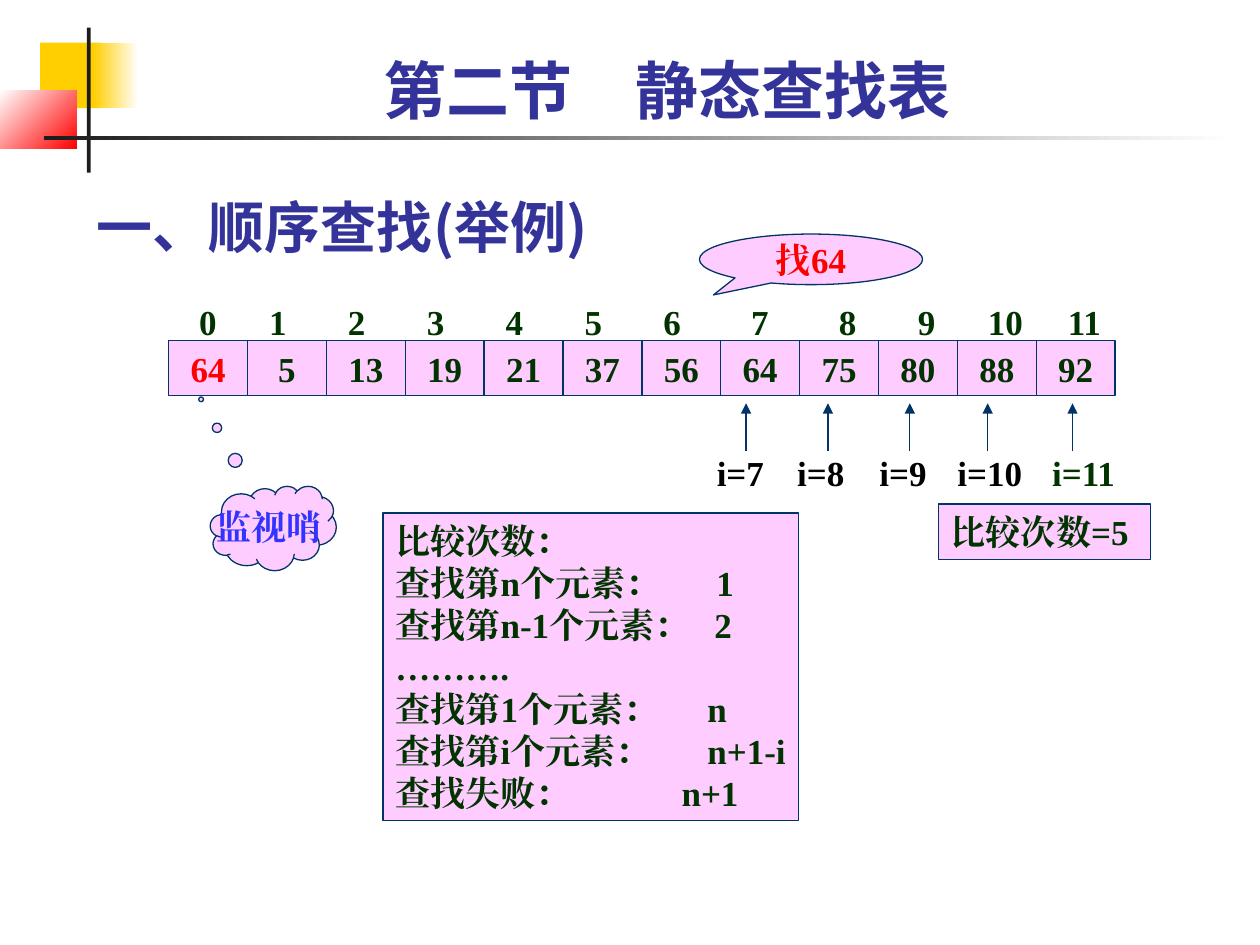
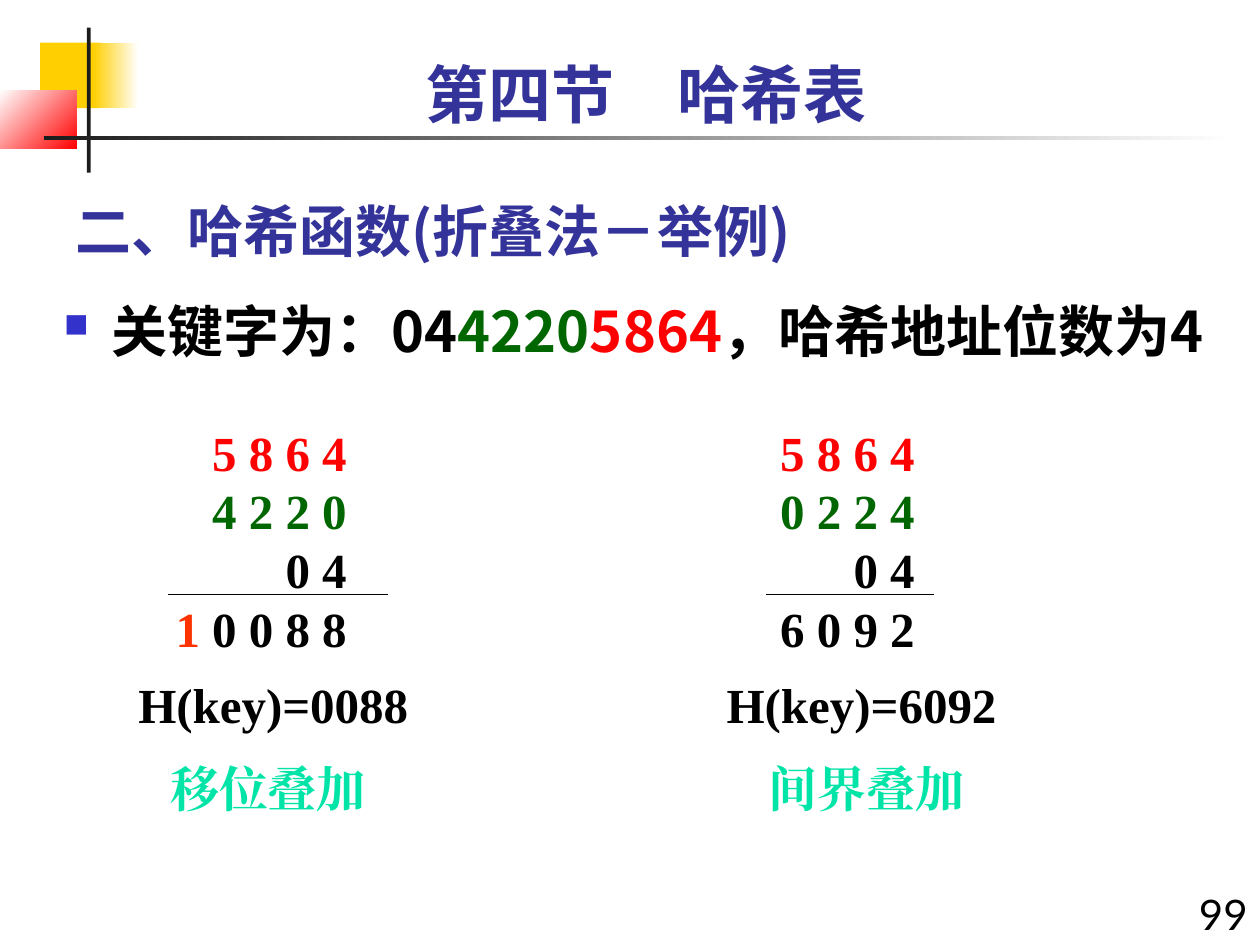
import dataclasses

import lxml.etree
import pptx
import pptx.dml.color
import pptx.enum.shapes
import pptx.enum.text
import pptx.oxml.ns
import pptx.util

Cm = pptx.util.Cm
Pt = pptx.util.Pt
Shape = pptx.enum.shapes.MSO_SHAPE
Anchor = pptx.enum.text.MSO_ANCHOR
Align = pptx.enum.text.PP_ALIGN
qn = pptx.oxml.ns.qn


@dataclasses.dataclass(frozen=True)
class Theme:
    gold: str = "FFCF01"
    red: str = "FF0000"
    white: str = "FFFFFF"
    bar: str = "1C1C1C"
    heading: str = "333399"
    pink: str = "FFCCFF"
    outline: str = "003366"
    ink: str = "003300"
    black: str = "000000"
    green: str = "006600"
    carry: str = "FF3300"
    mint: str = "00E4A8"
    sentinel: str = "3333FF"
    bullet: str = "3333CC"
    sans: str = "Lato"
    chinese: str = "Noto Sans CJK SC"
    serif: str = "Times New Roman"
    section_size: int = 36
    heading_size: int = 32
    sum_size: int = 28
    page_size: int = 24
    label_size: int = 20


def rgb(color):
    return pptx.dml.color.RGBColor.from_string(color)


def assign(target, values):
    for name, value in values.items():
        setattr(target, name, value)


def add_xml(parent, tag, **attributes):
    return lxml.etree.SubElement(parent, qn(tag), attributes)


class Board:
    def __init__(self):
        self.theme = Theme()
        self.deck = pptx.Presentation()
        assign(self.deck, {"slide_width": Cm(25.4), "slide_height": Cm(19.05)})
        self.page = None

    def new_page(self, section, section_at, heading, heading_at):
        theme = self.theme
        self.page = self.deck.slides.add_slide(self.deck.slide_layouts[6])
        self.block((0.81, 0.86, 1.22, 1.32), theme.gold)
        self.block((1.88, 0.86, 0.91, 1.32), theme.gold, theme.white)
        self.block((0, 1.83, 1.55, 1.17), theme.white, theme.red, -45)
        self.block((1.75, 0.56, 0.08, 2.92), theme.bar)
        self.block((0.89, 2.74, 24, 0.08), theme.bar, theme.white)
        self.text(heading_at, [heading], theme.heading, theme.heading_size,
                  theme.chinese, anchor=Anchor.BOTTOM)
        self.text(section_at, [section], theme.heading, theme.section_size,
                  theme.sans, align=Align.CENTER)

    def block(self, at, color, fade=None, angle=0):
        box = self.page.shapes.add_shape(Shape.RECTANGLE, *map(Cm, at))
        box.shadow.inherit = False
        box.line.fill.background()
        if fade is None:
            box.fill.solid()
            box.fill.fore_color.rgb = rgb(color)
            return
        box.fill.gradient()
        box.fill.gradient_angle = angle
        for stop, tint, position in zip(box.fill.gradient_stops, (color, fade), (0, 1)):
            stop.position = position
            stop.color.rgb = rgb(tint)

    def set_text(self, box, lines, color, size, font, align=Align.LEFT,
                 anchor=Anchor.TOP, wrap=True, bold=True, right=0.25, tabs=None):
        frame = box.text_frame
        assign(frame, {"word_wrap": wrap, "vertical_anchor": anchor,
                       "margin_left": Cm(0.25), "margin_right": Cm(right),
                       "margin_top": Cm(0.13), "margin_bottom": Cm(0.13)})
        for number, line in enumerate(lines):
            para = frame.add_paragraph() if number else frame.paragraphs[0]
            para.alignment = align
            if tabs and tabs[number]:
                self.tab_stops(para, tabs[number])
            pieces = [(line, color)] if isinstance(line, str) else line
            for words, tint in pieces:
                span = para.add_run()
                span.text = words
                assign(span.font, {"name": font, "size": Pt(size), "bold": bold})
                span.font.color.rgb = rgb(tint)
                add_xml(span._r.get_or_add_rPr(), "a:ea", typeface=font)
        return frame

    def tab_stops(self, para, stops):
        kind, places = stops
        holder = add_xml(para._p.get_or_add_pPr(), "a:tabLst")
        for place in places:
            add_xml(holder, "a:tab", pos=str(int(Cm(place))), algn=kind)

    def text(self, at, lines, color, size, font, **style):
        box = self.page.shapes.add_textbox(*map(Cm, at))
        return self.set_text(box, lines, color, size, font, **style)

    def panel(self, at, lines, color, kind=Shape.RECTANGLE, adjust=(), **style):
        box = self.page.shapes.add_shape(kind, *map(Cm, at))
        box.shadow.inherit = False
        box.fill.solid()
        box.fill.fore_color.rgb = rgb(self.theme.pink)
        box.line.color.rgb = rgb(self.theme.outline)
        box.line.width = Pt(0.75)
        for number, value in enumerate(adjust):
            box.adjustments[number] = value
        self.set_text(box, lines, color, self.theme.label_size, self.theme.serif, **style)

    def line(self, start, end, color, arrow=False):
        line = self.page.shapes.add_connector(
            pptx.enum.shapes.MSO_CONNECTOR.STRAIGHT, *map(Cm, start + end))
        line.line.color.rgb = rgb(color)
        line.line.width = Pt(0.75)
        props = line._element.spPr
        if arrow:
            add_xml(props.find(qn("a:ln")), "a:tailEnd", type="triangle")
        add_xml(props, "a:effectLst")

    def bullet(self, para):
        props = para._p.get_or_add_pPr()
        for name, value in {"marL": 0.95, "indent": -0.95}.items():
            props.set(name, str(int(Cm(value))))
        add_xml(add_xml(props, "a:buClr"), "a:srgbClr", val=self.theme.bullet)
        add_xml(props, "a:buSzPct", val="60000")
        add_xml(props, "a:buChar", char="■")


def sequential_search(board):
    theme = board.theme
    centered = {"align": Align.CENTER, "anchor": Anchor.MIDDLE, "wrap": False}
    board.new_page("第二节　静态查找表", (1.7, 0.91, 23.5, 1.78),
                   "一、顺序查找(举例)", (1.7, 3.45, 15.88, 1.91))
    board.panel((14.1, 4.72, 4.5, 1.02), ["找64"], theme.red,
                Shape.OVAL_CALLOUT, (-0.437, 0.702), **centered)
    board.panel((4.24, 9.8, 2.54, 1.7), ["监视哨"], theme.sentinel,
                Shape.CLOUD_CALLOUT, (-0.573, -1.529), **centered)

    steps = [(7, 15.04, 14.2), (8, 16.69, 15.82), (9, 18.34, 17.48),
             (10, 19.91, 19.05), (11, 21.62, 20.96)]
    for index, arrow, label in steps:
        board.line((arrow, 9.09), (arrow, 8.13), theme.outline, arrow=True)
        board.text((label, 8.97, 1.85, 1.12), [f"i={index}"],
                   theme.ink if index == 11 else theme.black,
                   theme.label_size, theme.serif)

    board.panel((18.92, 10.16, 4.27, 1.12), ["比较次数=5"], theme.ink, wrap=False)
    counts = [("查找第n个元素：", "1", 6.47), ("查找第n-1个元素：", "2", 6.43),
              ("……….", "", 0), ("查找第1个元素：", "n", 6.29),
              ("查找第i个元素：", "n+1-i", 6.29), ("查找失败：", "n+1", 5.77)]
    lines = ["比较次数："] + [f"{case}\t{count}" if count else case
                          for case, count, place in counts]
    tabs = [None] + [("l", [place]) if count else None for case, count, place in counts]
    board.panel((7.72, 10.34, 8.38, 6.2), lines, theme.ink, right=0, tabs=tabs)

    keys = [64, 5, 13, 19, 21, 37, 56, 64, 75, 80, 88, 92]
    left, step = 3.4, 1.59
    shifts = [0] + [-0.18] * 6 + [0] + [0.18] * 4
    centers = [0.54 + step * index + shift for index, shift in enumerate(shifts)]
    board.text((left, 5.92, 20, 1.12), ["".join(f"\t{index}" for index in range(len(keys)))],
               theme.ink, theme.label_size, theme.serif, tabs=[("ctr", centers)])
    for index, key in enumerate(keys):
        board.panel((left + step * index, 6.86, step, 1.12), [str(key)],
                    theme.ink if index else theme.red, **centered)


def folding_sum(board, column, rows, rule, answer, name):
    theme = board.theme
    sum_at, answer_at, name_at = column
    board.text(sum_at, rows, theme.black, theme.sum_size, theme.serif, align=Align.RIGHT)
    board.line((rule[0], 11.99), (rule[1], 11.99), theme.black)
    board.text((answer_at, 13.46, 5.94, 1.45), [f"H(key)={answer}"],
               theme.black, theme.sum_size, theme.serif, wrap=False)
    board.text((name_at, 15.16, 4.45, 1.45), [name],
               theme.mint, theme.sum_size, theme.serif, wrap=False)


def hash_folding(board):
    theme = board.theme
    board.new_page("第四节　哈希表", (1.27, 0.99, 23.5, 1.78),
                   "二、哈希函数(折叠法－举例)", (1.27, 3.53, 17.35, 1.91))
    board.text((23.7, 17.78, 1.7, 1.5), ["99"], theme.black, theme.page_size,
               theme.sans, align=Align.RIGHT, bold=False)
    key = [("关键字为：04", theme.black), ("4220", theme.green),
           ("5864", theme.red), ("，哈希地址位数为4", theme.black)]
    frame = board.text((1.04, 5.84, 24.33, 11.23), [key], theme.black,
                       theme.heading_size, theme.chinese, right=0)
    board.bullet(frame.paragraphs[0])

    first, last = [("5 8 6 4", theme.red)], "0 4"
    folding_sum(board, ((2.95, 8.38, 4.29, 5), 2.54, 3.18),
                [first, [("4 2 2 0", theme.green)], last,
                 [("1", theme.carry), (" 0 0 8 8", theme.black)]],
                (3.38, 7.82), "0088", "移位叠加")
    folding_sum(board, ((15.24, 8.38, 3.45, 5), 14.4, 15.24),
                [first, [("0 2 2 4", theme.green)], last, "6 0 9 2"],
                (15.44, 18.82), "6092", "间界叠加")


def main():
    board = Board()
    sequential_search(board)
    hash_folding(board)
    board.deck.save("out.pptx")


if __name__ == "__main__":
    main()
